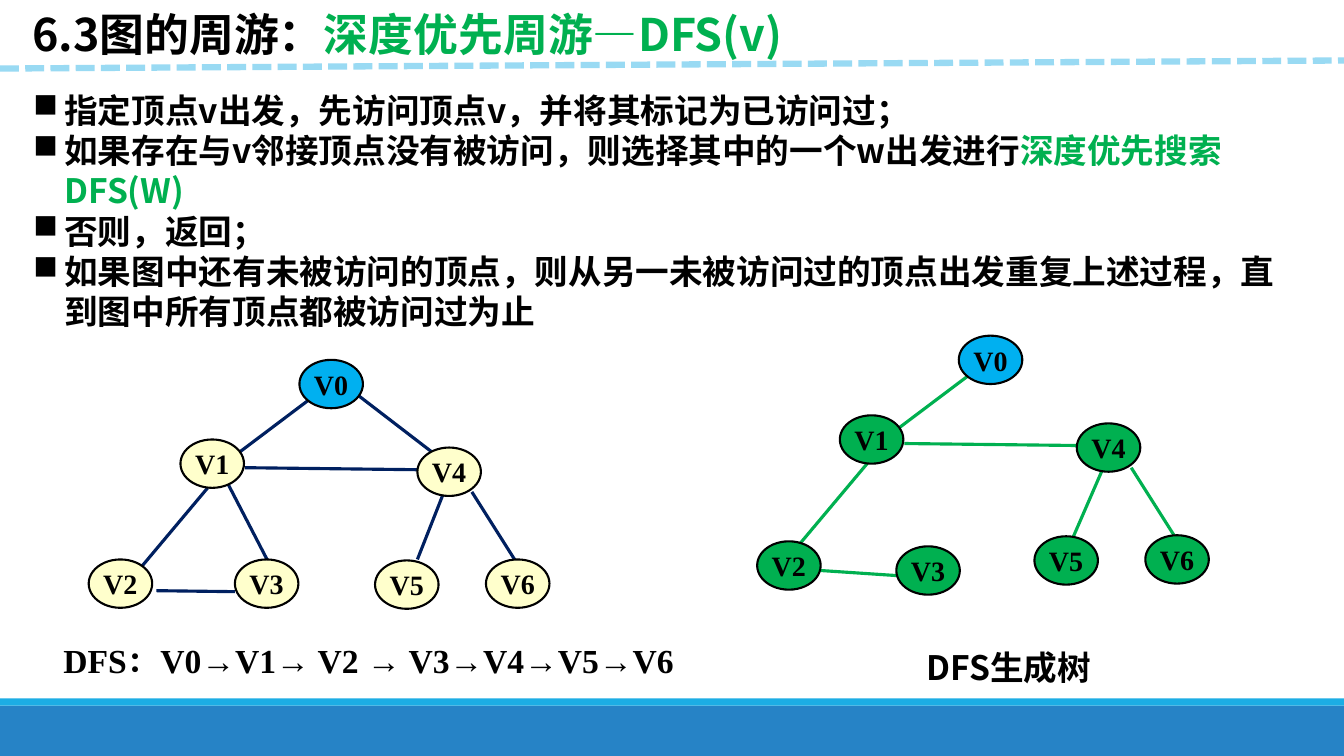
from dataclasses import dataclass

from lxml.etree import SubElement
from pptx import Presentation
from pptx.dml.color import RGBColor
from pptx.enum.dml import MSO_LINE
from pptx.enum.shapes import MSO_CONNECTOR, MSO_SHAPE
from pptx.enum.text import MSO_ANCHOR, PP_ALIGN
from pptx.oxml.ns import qn
from pptx.util import Pt

PX = 9144  # EMU; 100 px to the inch
PAGE_WIDTH, PAGE_HEIGHT = 1333, 750


@dataclass(frozen=True)
class Theme:
    sans: str = "Noto Sans CJK SC"
    serif: str = "Times New Roman"
    title_size: int = 32
    body_size: int = 24
    vertex_size: int = 20
    leading: float = 1.2
    black: str = "000000"
    green: str = "00B050"
    navy: str = "002060"
    cream: str = "FFFFCC"
    start_blue: str = "00B0F0"
    dash_blue: str = "99DAF3"
    band_blue: str = "2683C6"
    stripe_blue: str = "1CADE4"


THEME = Theme()

VERTEX_SIZE = (63, 48)
VERTICES = {
    "V0": (297, 357), "V1": (179, 436), "V2": (88, 555), "V3": (233, 555),
    "V4": (414, 444), "V5": (372, 556), "V6": (482, 555),
}
EDGES = {
    ("V0", "V1"): (306, 397, 233, 452),
    ("V0", "V4"): (351, 389, 433, 452),
    ("V1", "V2"): (206, 484, 133, 571),
    ("V1", "V3"): (224, 476, 269, 563),
    ("V1", "V4"): (243, 464, 414, 466),
    ("V2", "V3"): (155, 586, 233, 587),
    ("V4", "V5"): (442, 484, 414, 555),
    ("V4", "V6"): (468, 488, 511, 556),
}
TREE_SHIFT = (654, -24)
TREE_DROPPED = {("V0", "V4"), ("V1", "V3")}
TREE_VERTICES = {"V2": (751, 537), "V3": (889, 542)}
TREE_EDGES = {
    ("V2", "V3"): (814, 566, 889, 571),
    ("V4", "V5"): (1096, 460, 1063, 536),
}

TITLE = [("6.3图的周游：", THEME.black), ("深度优先周游—DFS(v)", THEME.green)]
STEPS = [
    [("指定顶点v出发，先访问顶点v，并将其标记为已访问过；", THEME.black)],
    [("如果存在与v邻接顶点没有被访问，则选择其中的一个w出发进行", THEME.black),
     ("深度优先搜索DFS(W)", THEME.green)],
    [("否则，返回；", THEME.black)],
    [("如果图中还有未被访问的顶点，则从另一未被访问过的顶点出发重复上述过程，"
      "直到图中所有顶点都被访问过为止", THEME.black)],
]


def px(*lengths):
    return [length * PX for length in lengths]


def color(code):
    return RGBColor.from_string(code)


def set_font(para, name, size):
    """Set a bold face for both Latin and East Asian letters."""
    font = para.font
    font.name, font.size, font.bold = name, Pt(size), True
    latin = font._element.find(qn("a:latin"))
    east_asian = latin.makeelement(qn("a:ea"), {"typeface": name})
    latin.addnext(east_asian)


def add_bullet(para):
    properties = para._p.get_or_add_pPr()
    properties.set("marL", str(31 * PX))
    properties.set("indent", str(-31 * PX))
    SubElement(properties, qn("a:buChar"), char="■")


def add_text(page, place, paragraphs, name, size, bulleted=False):
    """Add a box; each paragraph is a list of (text, colour) spans."""
    frame = page.shapes.add_textbox(*px(*place)).text_frame
    frame.word_wrap = True
    for index, spans in enumerate(paragraphs):
        para = frame.paragraphs[0] if index == 0 else frame.add_paragraph()
        para.line_spacing = Pt(size * THEME.leading)
        if bulleted:
            add_bullet(para)
        set_font(para, name, size)
        for text, code in spans:
            span = para.add_run()
            span.text = text
            span.font.color.rgb = color(code)


def add_line(page, ends, code, width):
    line = page.shapes.add_connector(MSO_CONNECTOR.STRAIGHT, *px(*ends))
    line.line.color.rgb = color(code)
    line.line.width = Pt(width)
    SubElement(line._element.spPr, qn("a:effectLst"))
    return line


def add_filled(page, kind, place, code):
    shape = page.shapes.add_shape(kind, *px(*place))
    shape.shadow.inherit = False
    shape.fill.solid()
    shape.fill.fore_color.rgb = color(code)
    shape.line.fill.background()
    return shape


def add_vertex(page, label, corner, code):
    vertex = add_filled(page, MSO_SHAPE.OVAL, (*corner, *VERTEX_SIZE), code)
    vertex.line.color.rgb = color(THEME.black)
    vertex.line.width = Pt(1.5)
    frame = vertex.text_frame
    frame.word_wrap = False
    frame.vertical_anchor = MSO_ANCHOR.MIDDLE
    para = frame.paragraphs[0]
    para.text = label
    para.alignment = PP_ALIGN.CENTER
    set_font(para, THEME.serif, THEME.vertex_size)
    para.font.color.rgb = color(THEME.black)


def add_graph(page, vertices, edges, fill, edge_color):
    for ends in edges.values():
        add_line(page, ends, edge_color, 2.25)
    for label, corner in vertices.items():
        add_vertex(page, label, corner, THEME.start_blue if label == "V0" else fill)


def shift(points):
    """Move x, y pairs from the graph to the spanning tree."""
    return tuple(value + TREE_SHIFT[index % 2] for index, value in enumerate(points))


def spanning_tree():
    vertices = {label: shift(corner) for label, corner in VERTICES.items()}
    edges = {pair: shift(ends) for pair, ends in EDGES.items()
             if pair not in TREE_DROPPED}
    return vertices | TREE_VERTICES, edges | TREE_EDGES


def main():
    deck = Presentation()
    deck.slide_width, deck.slide_height = px(PAGE_WIDTH, PAGE_HEIGHT)
    page = deck.slides.add_slide(deck.slide_layouts[6])

    add_filled(page, MSO_SHAPE.RECTANGLE, (0, 700, PAGE_WIDTH, 50), THEME.band_blue)
    add_filled(page, MSO_SHAPE.RECTANGLE, (0, 693, PAGE_WIDTH, 7), THEME.stripe_blue)
    divider = add_line(page, (0, 68, PAGE_WIDTH, 60), THEME.dash_blue, 4.5)
    divider.line.dash_style = MSO_LINE.SQUARE_DOT

    add_text(page, (22, 2, 905, 64), [TITLE], THEME.sans, THEME.title_size)
    add_text(page, (23, 84, 1282, 283), STEPS, THEME.sans, THEME.body_size,
             bulleted=True)

    add_graph(page, VERTICES, EDGES, THEME.cream, THEME.navy)
    add_graph(page, *spanning_tree(), THEME.green, THEME.green)

    add_text(page, (53, 630, 685, 50),
             [[("DFS：V0→V1→ V2 → V3→V4→V5→V6", THEME.black)]],
             THEME.serif, THEME.body_size)
    add_text(page, (909, 637, 218, 50), [[("DFS生成树", THEME.black)]],
             THEME.sans, THEME.body_size)

    deck.save("out.pptx")


if __name__ == "__main__":
    main()
